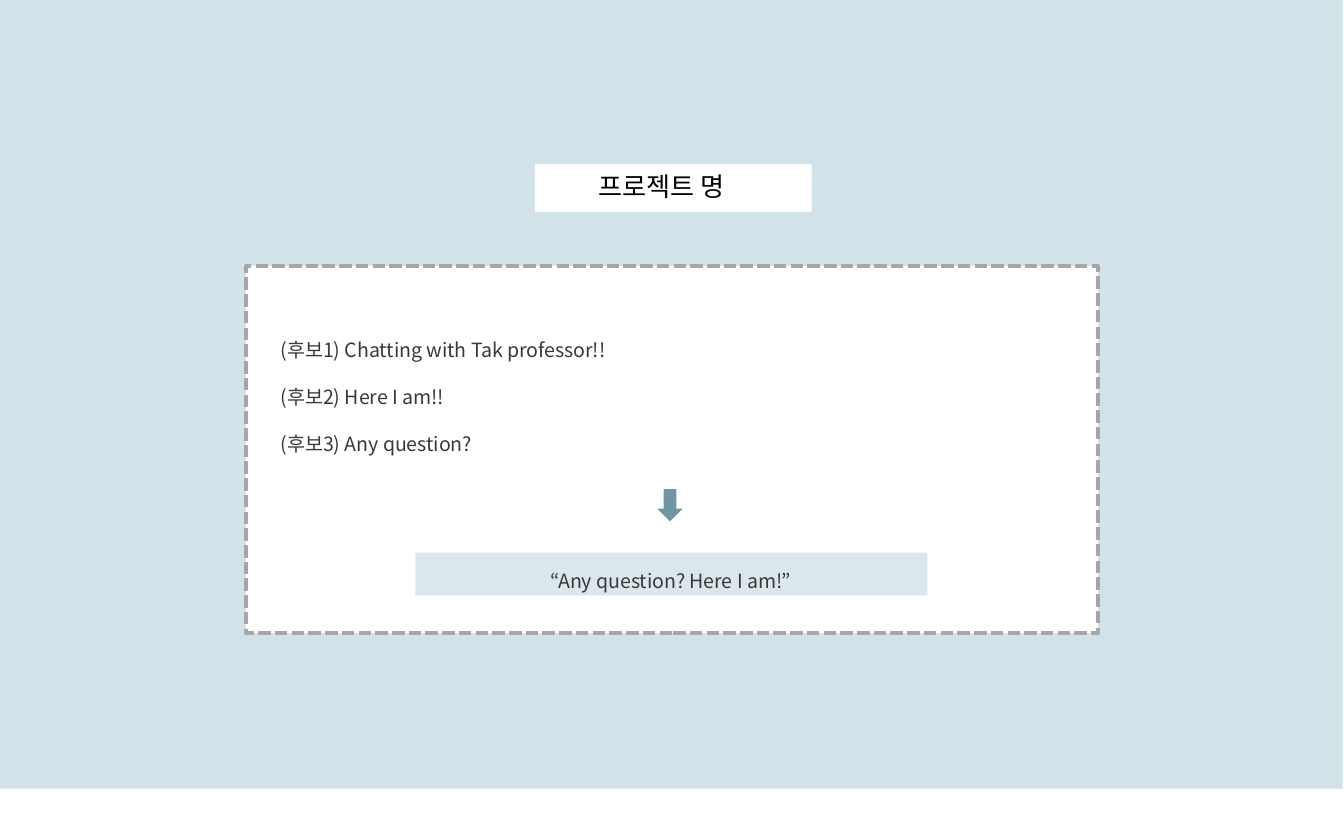
from lxml import etree
from pptx import Presentation
from pptx import util as u
from pptx.dml.color import RGBColor
from pptx.enum import dml, shapes, text
from pptx.oxml.ns import qn

FONT = "Noto Sans CJK KR"
PALE, WHITE, GREY, TEAL, INK = "D1E2E9", "FFFFFF", "A6A6A6", "7097A1", "3B3838"
CANDIDATES = [
    "(후보1) Chatting with Tak professor!!",
    "(후보2) Here I am!!",
    "(후보3) Any question?",
]
RESULT = "“Any question? Here I am!”"


def rgb(color):
    """Turn a hex string into a colour."""
    return RGBColor.from_string(color)


def place(sp, x, y, w, h):
    """Set the position and size of a shape in points."""
    for name, value in zip(("left", "top", "width", "height"), (x, y, w, h)):
        setattr(sp, name, u.Pt(value))


def add_block(s, x, y, w, h, fill, kind=shapes.MSO_SHAPE.RECTANGLE, alpha=None):
    """Add a flat filled shape without outline, optionally translucent."""
    sp = s.shapes.add_shape(kind, *map(u.Pt, (x, y, w, h)))
    sp.shadow.inherit = False
    sp.fill.solid()
    sp.fill.fore_color.rgb = rgb(fill)
    sp.line.fill.background()
    if alpha is not None:
        clr = sp.fill._xPr.find(".//" + qn("a:srgbClr"))
        etree.SubElement(clr, qn("a:alpha")).set("val", str(alpha * 1000))
    return sp


def write(sp, lines, size, color, wrap=True, **para):
    """Fill a text frame with one formatted paragraph per line."""
    tf = sp.text_frame
    frame = {"word_wrap": wrap, "auto_size": text.MSO_AUTO_SIZE.NONE,
             "vertical_anchor": text.MSO_ANCHOR.TOP}
    for name, value in frame.items():
        setattr(tf, name, value)
    for i, line in enumerate(lines):
        p = tf.paragraphs[0] if i == 0 else tf.add_paragraph()
        for name, value in para.items():
            setattr(p, name, value)
        r = p.add_run()
        r.text = line
        for name, value in {"name": FONT, "size": u.Pt(size)}.items():
            setattr(r.font, name, value)
        r.font.color.rgb = rgb(color)
        etree.SubElement(r._r.get_or_add_rPr(), qn("a:ea")).set("typeface", FONT)


def add_heading(s, x, y, w, h):
    """Place the title on a white label."""
    add_block(s, x, y, w, h, WHITE)
    title = s.shapes.title
    s.shapes._spTree.append(title._element)
    place(title, x + 26.6, y, 88.6, 24.5)
    write(title, ["프로젝트 명"], 14, "000000", wrap=False,
          alignment=text.PP_ALIGN.LEFT)


def add_panel(s, x, y, w, h):
    """Draw the dashed panel with the candidates, arrow and chosen name."""
    panel = add_block(s, x, y, w, h, WHITE)
    panel.line.color.rgb = rgb(GREY)
    panel.line.width = u.Pt(2.25)
    panel.line.dash_style = dml.MSO_LINE.SQUARE_DOT
    add_block(s, x + 90.7, y + 153.4, 274.3, 23, PALE, alpha=80)
    add_block(s, x + 220.3, y + 119.5, 13.7, 17.3, TEAL, shapes.MSO_SHAPE.DOWN_ARROW)
    for lines, dx, dy, height, align in (
        (CANDIDATES, 11.5, 22.3, 83.5, text.PP_ALIGN.LEFT),
        ([RESULT], 8.6, 146.2, 28.8, text.PP_ALIGN.CENTER),
    ):
        box = s.shapes.add_textbox(*map(u.Pt, (x + dx, y + dy, 437.8, height)))
        write(box, lines, 10.5, INK, alignment=align, line_spacing=2.0)


def main():
    """Build and save the slide."""
    prs = Presentation()
    prs.slide_width, prs.slide_height = u.Pt(720), u.Pt(450)
    s = prs.slides.add_slide(prs.slide_layouts[5])
    add_block(s, -0.7, 0, 720, 422.6, PALE)
    add_heading(s, 286.6, 87.8, 148.3, 25.9)
    add_panel(s, 131.8, 142.6, 456.5, 196.6)
    prs.save("out.pptx")


if __name__ == "__main__":
    main()
